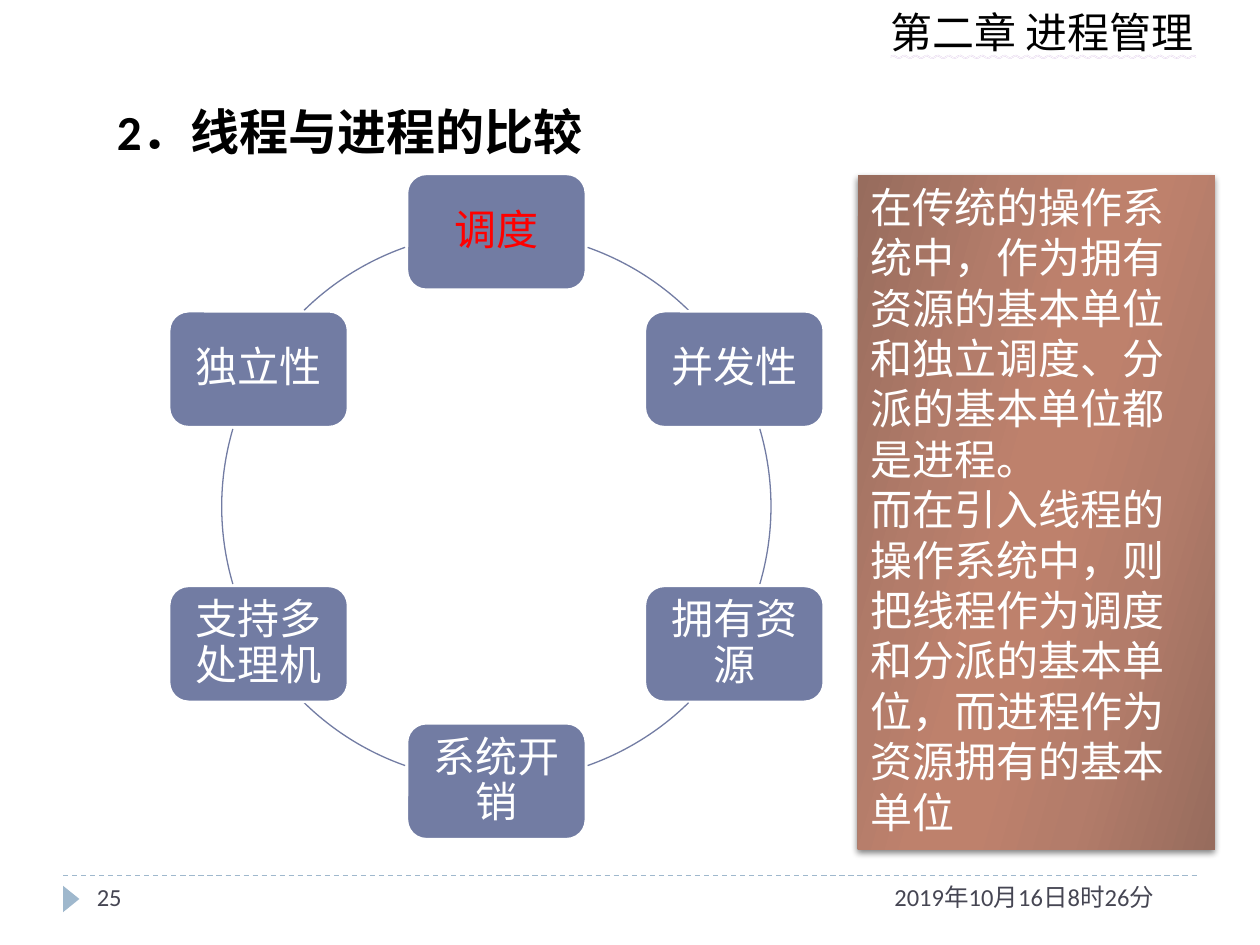
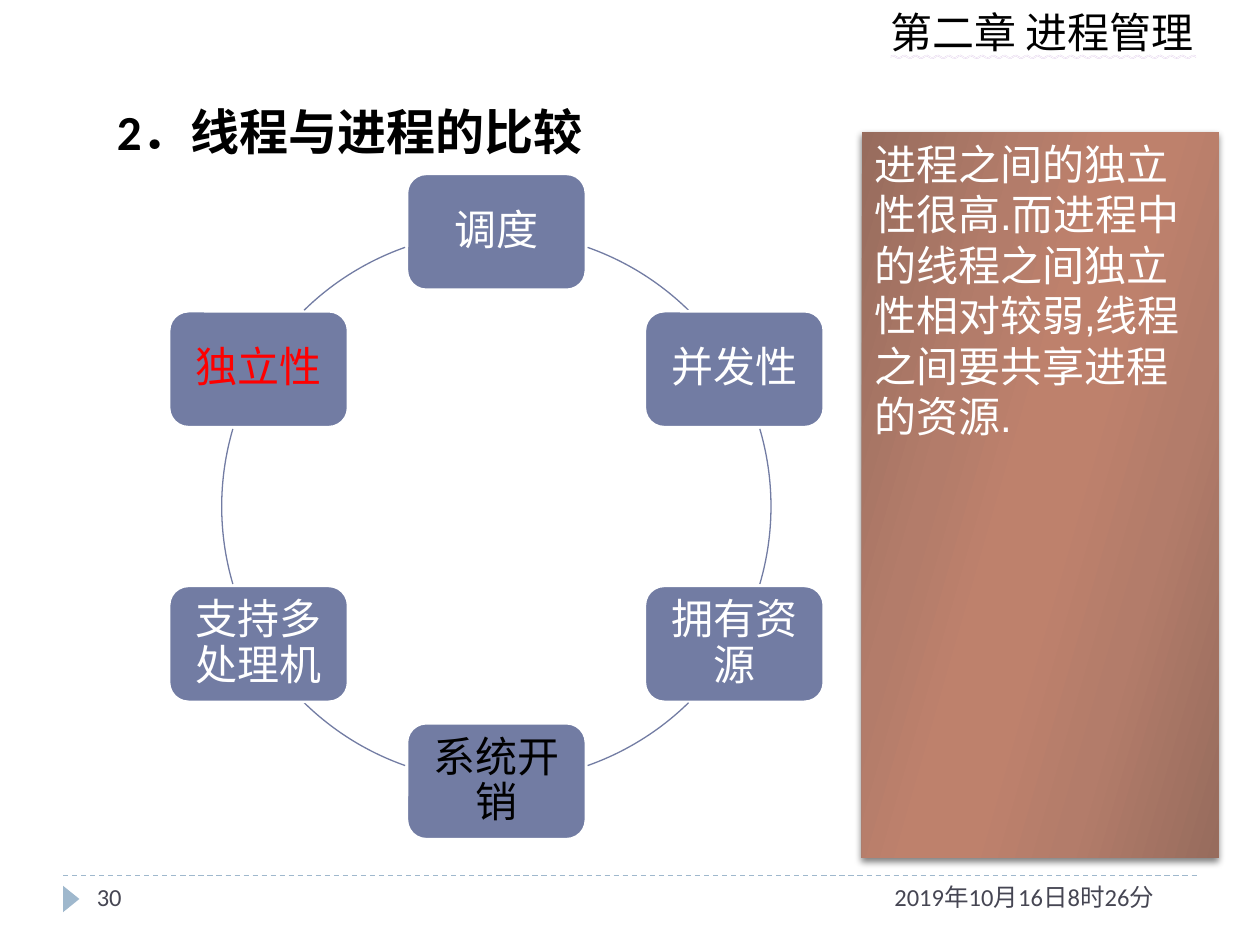
import math
from lxml import etree
from pptx import Presentation
from pptx import util as u
from pptx.dml.color import RGBColor
from pptx.enum import dml, shapes, text
from pptx.oxml import ns

CHAPTER = "第二章 进程管理"
DATE = "2019年10月16日8时26分"
TITLE = "2．线程与进程的比较"
ASPECTS = ["调度", "并发性", "拥有资源", "系统开销", "支持多处理机", "独立性"]

BLACK = RGBColor(0x00, 0x00, 0x00)
WHITE = RGBColor(0xFF, 0xFF, 0xFF)
RED = RGBColor(0xFF, 0x00, 0x00)
NODE_BLUE = RGBColor(0x72, 0x7C, 0xA3)
RULE_BLUE = RGBColor(0x9F, 0xB8, 0xCD)
FOOTER_GREY = RGBColor(0x46, 0x46, 0x53)
WAVE_PURPLE = RGBColor(0xC8, 0xA8, 0xDC)
PANEL_EDGE = RGBColor(0x97, 0x6C, 0x5D)
PANEL_MIDDLE = RGBColor(0xB3, 0x7C, 0x6A)
PANEL_CENTRE = RGBColor(0xBE, 0x81, 0x6C)
PANEL_STOPS = [(0, PANEL_EDGE), (30, PANEL_MIDDLE), (45, PANEL_CENTRE),
               (55, PANEL_CENTRE), (73, PANEL_MIDDLE), (100, PANEL_EDGE)]

SLIDES = [
    {"number": "25", "colours": {"调度": RED}, "panel": (6.81, 1.39, 2.83, 5.35),
     "notes": ["在传统的操作系统中，作为拥有资源的基本单位和独立调度、分派的基本单位都是进程。",
               "而在引入线程的操作系统中，则把线程作为调度和分派的基本单位，而进程作为资源拥有的基本单位"]},
    {"number": "30", "colours": {"独立性": RED, "系统开销": BLACK},
     "panel": (6.84, 1.05, 2.83, 5.76),
     "notes": ["进程之间的独立性很高.而进程中的线程之间独立性相对较弱,线程之间要共享进程的资源."]},
]

CENTRE_X, CENTRE_Y, RADIUS = 3.94, 4.02, 2.18
NODE_WIDTH, NODE_HEIGHT = 1.42, 0.92
ARC_ANGLES = [(289.4, 314.4), (343.6, 16.4), (45.6, 70.6),
              (109.4, 134.4), (163.6, 196.4), (225.6, 250.6)]


def inches(*lengths):
    return [u.Inches(length) for length in lengths]


def add_element(parent, tag, **attributes):
    element = etree.SubElement(parent, ns.qn(tag))
    for name, value in attributes.items():
        element.set(name, str(value))
    return element


def write(paragraph, words, size, colour, font="Calibri", bold=False):
    run = paragraph.add_run()
    run.text = words
    run.font.size = u.Pt(size)
    run.font.name = font
    run.font.bold = bold
    run.font.color.rgb = colour
    return run


def add_text(slide, box, words, size, colour, bold=False, wrap=True):
    frame = slide.shapes.add_textbox(*inches(*box)).text_frame
    frame.word_wrap = wrap
    return write(frame.paragraphs[0], words, size, colour, bold=bold)


def add_plain_shape(slide, kind, box):
    shape = slide.shapes.add_shape(kind, *inches(*box))
    shape.shadow.inherit = False
    shape.line.fill.background()
    return shape


def add_frame(slide, number):
    rule = slide.shapes.add_connector(shapes.MSO_CONNECTOR.STRAIGHT,
                                      *inches(0.5, 6.95, 9.5, 6.95))
    rule.line.color.rgb = RULE_BLUE
    rule.line.width = u.Pt(0.75)
    rule.line.dash_style = dml.MSO_LINE.DASH
    add_element(rule._element.spPr, "a:effectLst")

    marker = add_plain_shape(slide, shapes.MSO_SHAPE.ISOSCELES_TRIANGLE,
                             (0.46, 7.07, 0.21, 0.13))
    marker.rotation = 90
    marker.fill.solid()
    marker.fill.fore_color.rgb = RULE_BLUE

    chapter = add_text(slide, (6.97, 0, 2.66, 0.5), CHAPTER, 24, BLACK, wrap=False)
    chapter.font.underline = text.MSO_UNDERLINE.WAVY_DOUBLE_LINE
    properties = chapter.font._element
    underline = add_element(properties, "a:uFill")
    add_element(add_element(underline, "a:solidFill"), "a:srgbClr", val=WAVE_PURPLE)
    properties.find(ns.qn("a:latin")).addprevious(underline)

    add_text(slide, (7, 6.95, 2.5, 0.4), DATE, 14, FOOTER_GREY)
    add_text(slide, (0.67, 6.95, 2.17, 0.4), number, 14, FOOTER_GREY)
    add_text(slide, (0.83, 0.76, 4.65, 0.57), TITLE, 28, BLACK, bold=True)


def add_node(slide, position, aspect, colour):
    angle = math.radians(position * 360 / len(ASPECTS) - 90)
    left = CENTRE_X + RADIUS * math.cos(angle) - NODE_WIDTH / 2
    top = CENTRE_Y + RADIUS * math.sin(angle) - NODE_HEIGHT / 2
    node = add_plain_shape(slide, shapes.MSO_SHAPE.ROUNDED_RECTANGLE,
                           (left, top, NODE_WIDTH, NODE_HEIGHT))
    node.fill.solid()
    node.fill.fore_color.rgb = NODE_BLUE
    node.line.color.rgb = WHITE
    node.line.width = u.Pt(1.5)
    frame = node.text_frame
    frame.word_wrap = True
    frame.vertical_anchor = text.MSO_ANCHOR.MIDDLE
    frame.margin_left = frame.margin_right = u.Inches(0.14)
    frame.margin_top = frame.margin_bottom = u.Inches(0.14)
    paragraph = frame.paragraphs[0]
    paragraph.alignment = text.PP_ALIGN.CENTER
    paragraph.line_spacing = 0.9
    paragraph.space_after = u.Pt(8.4)
    write(paragraph, aspect, 24, colour)


def add_ring(slide, colours):
    ring_box = (CENTRE_X - RADIUS, CENTRE_Y - RADIUS, 2 * RADIUS, 2 * RADIUS)
    for position, (aspect, angles) in enumerate(zip(ASPECTS, ARC_ANGLES)):
        add_node(slide, position, aspect, colours.get(aspect, WHITE))
        arc = add_plain_shape(slide, shapes.MSO_SHAPE.ARC, ring_box)
        arc.fill.background()
        arc.line.color.rgb = NODE_BLUE
        arc.line.width = u.Pt(0.75)
        for index, angle in enumerate(angles):
            arc.adjustments[index] = angle * 0.6


def add_panel(slide, box, notes):
    panel = add_plain_shape(slide, shapes.MSO_SHAPE.RECTANGLE, box)
    panel.fill.gradient()
    properties = panel._element.spPr
    gradient = properties.find(ns.qn("a:gradFill"))
    for child in list(gradient):
        gradient.remove(child)
    stops = add_element(gradient, "a:gsLst")
    for percent, colour in PANEL_STOPS:
        stop = add_element(stops, "a:gs", pos=percent * 1000)
        add_element(stop, "a:srgbClr", val=colour)
    add_element(gradient, "a:lin", ang=16 * 60000, scaled=0)

    shadow = add_element(properties.find(ns.qn("a:effectLst")), "a:outerShdw",
                         blurRad=u.Pt(4), dist=u.Pt(2), dir=90 * 60000, rotWithShape=0)
    add_element(add_element(shadow, "a:srgbClr", val=BLACK), "a:alpha", val=50000)

    frame = panel.text_frame
    frame.word_wrap = True
    frame.vertical_anchor = text.MSO_ANCHOR.TOP
    for index, note in enumerate(notes):
        paragraph = frame.add_paragraph() if index else frame.paragraphs[0]
        paragraph.alignment = text.PP_ALIGN.LEFT
        write(paragraph, note, 24, WHITE, font="Arial")


def main():
    presentation = Presentation()
    presentation.slide_width, presentation.slide_height = inches(10, 7.5)
    for content in SLIDES:
        slide = presentation.slides.add_slide(presentation.slide_layouts[6])
        add_frame(slide, content["number"])
        add_ring(slide, content["colours"])
        add_panel(slide, content["panel"], content["notes"])
    presentation.save("out.pptx")


if __name__ == "__main__":
    main()
